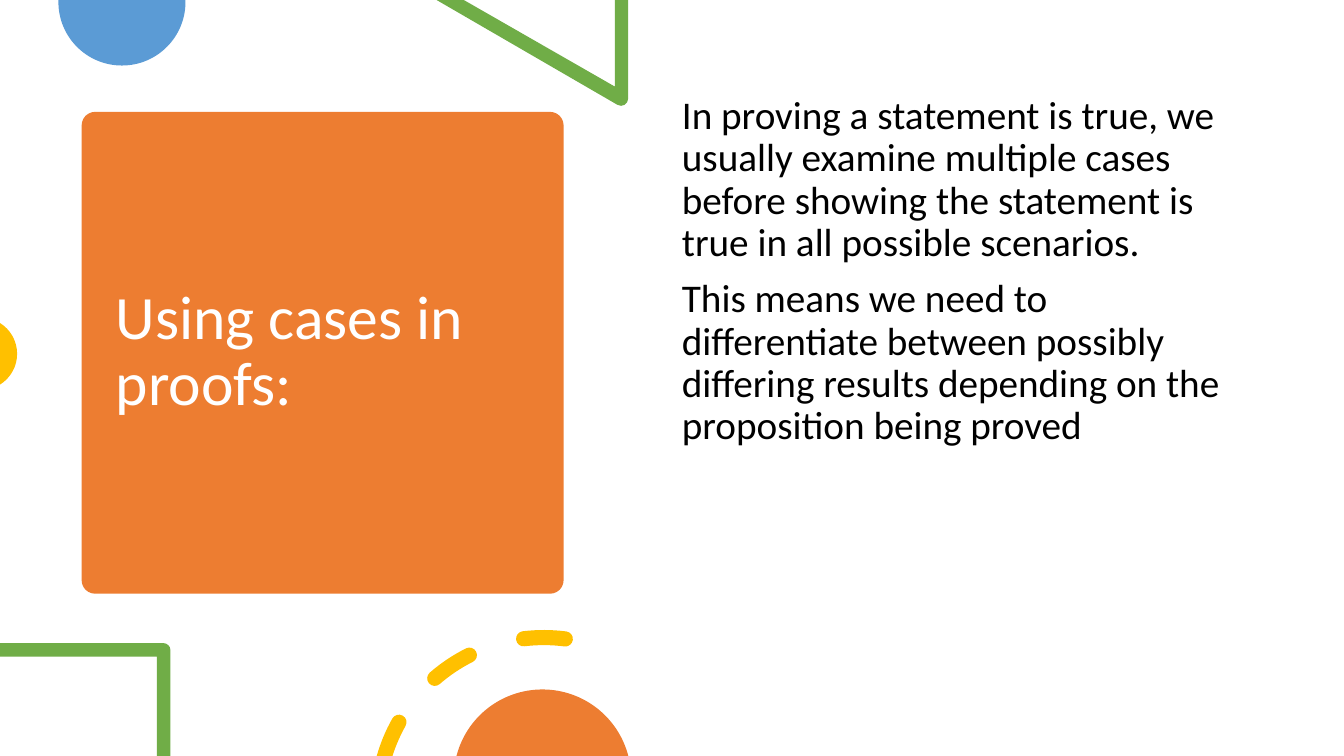
from collections import namedtuple
from dataclasses import dataclass
from itertools import islice
from math import acos, asin, cos, degrees, radians, sin, tan

from pptx import Presentation
from pptx.dml.color import RGBColor
from pptx.enum.shapes import MSO_SHAPE
from pptx.enum.text import MSO_ANCHOR
from pptx.oxml.ns import qn
from pptx.util import Inches, Pt

ROUNDED = MSO_SHAPE.ROUNDED_RECTANGLE
TOP, MIDDLE = MSO_ANCHOR.TOP, MSO_ANCHOR.MIDDLE
WIDTH, HEIGHT = 13.33, 7.5
RIGHTWARD, DOWNWARD, UPWARD = 0, 90, 270

Box = namedtuple("Box", "left top width height")


@dataclass(frozen=True)
class Theme:
    font: str = "Calibri"
    title_size: int = 44
    body_size: int = 28
    line_spacing: float = 0.9
    space_before: int = 10
    orange: str = "ED7D31"
    blue: str = "5B9BD5"
    green: str = "70AD47"
    yellow: str = "FFC000"
    white: str = "FFFFFF"
    black: str = "000000"


THEME = Theme()


# Geometry, in inches; angles run clockwise from the right.
# An outline is a list of segments: one point for a line, three for a curve.
def lines(*points):
    return [(point,) for point in points]


def polar(x, y, radius, angle):
    return x + radius * cos(radians(angle)), y + radius * sin(radians(angle))


def arc(x, y, radius, start, end, pieces=1):
    step = (end - start) / pieces
    pull = radius * 4 / 3 * tan(radians(step) / 4)
    segments = lines(polar(x, y, radius, start))
    for i in range(pieces):
        a, b = start + step * i, start + step * (i + 1)
        p, q = polar(x, y, radius, a), polar(x, y, radius, b)
        segments.append((polar(*p, pull, a + 90), polar(*q, pull, b - 90), q))
    return segments


# Shared drawing helpers
def paint(shape, color):
    shape.shadow.inherit = False
    shape.fill.solid()
    shape.fill.fore_color.rgb = RGBColor.from_string(color)
    shape.line.fill.background()


def draw_outlines(slide, outlines, color):
    builder = None
    for outline in outlines:
        start, *rest = [(Inches(x), Inches(y)) for segment in outline for x, y in segment]
        if builder is None:
            builder = slide.shapes.build_freeform(*start)
        else:
            builder.move_to(*start)
        builder.add_line_segments(rest, close=True)
    shape = builder.convert_to_shape()
    # Join each curve's three points into one Bezier segment
    steps = iter(list(shape.element.iter(qn("a:lnTo"))))
    for outline in outlines:
        for segment in outline[1:]:
            first, *others = islice(steps, len(segment))
            if others:
                first.tag = qn("a:cubicBezTo")
            for other in others:
                first.append(other[0])
                other.getparent().remove(other)
    paint(shape, color)


def add_text(slide, box, paragraphs, size, color, anchor, space_before=0):
    frame = slide.shapes.add_textbox(*map(Inches, box)).text_frame
    frame.word_wrap = True
    frame.vertical_anchor = anchor
    frame.text = "\n".join(paragraphs)
    for paragraph in frame.paragraphs:
        paragraph.line_spacing = THEME.line_spacing
        paragraph.space_before = Pt(space_before)
        font = paragraph.runs[0].font
        font.name, font.size = THEME.font, Pt(size)
        font.color.rgb = RGBColor.from_string(color)


# Content regions
def title_panel(slide, box, title):
    panel = slide.shapes.add_shape(ROUNDED, *map(Inches, box))
    panel.adjustments[0] = 0.028
    paint(panel, THEME.orange)
    inset_x, inset_y = 0.24, 0.11
    title_box = Box(box.left + inset_x, box.top + inset_y,
                    box.width - 2 * inset_x + 0.01, box.height - 2 * inset_y)
    add_text(slide, title_box, [title], THEME.title_size, THEME.white, MIDDLE)


def explanation(slide, box, paragraphs):
    add_text(slide, box, paragraphs, THEME.body_size, THEME.black, TOP,
             THEME.space_before)


# Decorations cut off by the slide's edges
def cut_disc(slide, box, facing, edge_distance, color):
    """Draw the part of a disc beyond an edge that far from its centre."""
    radius = box.width / 2
    half = degrees(acos(edge_distance / radius))
    segment = arc(box.left + radius, box.top + radius, radius,
                  facing - half, facing + half, 2)
    draw_outlines(slide, [segment], color)


def triangle_corner(slide, box, band=0.13, rounding=0.07):
    left, top, right = box.left, box.top, box.left + box.width
    bottom = top + box.height
    inner = right - band
    outline = lines((right, top), (inner, top), (inner, bottom - 0.19),
                    (left + 0.27, top), (left, top))
    outline += arc(right - rounding, bottom - rounding, rounding, 120, 0)
    draw_outlines(slide, [outline], THEME.green)


def square_corner(slide, box, band=0.135, rounding=0.07):
    left, top = box.left, box.top
    right, bottom = left + box.width, top + box.height
    outline = lines((left, top), (left, top + band), (right - band, top + band),
                    (right - band, bottom), (right, bottom))
    outline += arc(right - rounding, top + rounding, rounding, 0, -90)
    draw_outlines(slide, [outline], THEME.green)


def dashed_ring(slide, box, band=0.15, first=195, step=34, sweep=14.4):
    cap = band / 2
    outer = box.width / 2
    inner, middle = outer - band, outer - cap
    x, y = box.left + outer, box.top + outer
    dashes = []
    for start in (first + step * i for i in range(3)):
        end = start + sweep
        tail, tip = polar(x, y, middle, start), polar(x, y, middle, end)
        cut = tail[1] > HEIGHT
        outer_start, inner_start = (
            180 + degrees(asin((HEIGHT - y) / -r)) if cut else start
            for r in (outer, inner))
        dash = (arc(x, y, outer, outer_start, end)
                + arc(*tip, cap, end, end + 180, 2)[1:]
                + arc(x, y, inner, end, inner_start)[1:])
        if not cut:
            dash += arc(*tail, cap, start + 180, start + 360, 2)[1:]
        dashes.append(dash)
    draw_outlines(slide, dashes, THEME.yellow)


def cases_slide(slide, box):
    title_panel(slide, Box(box.left + 0.81, box.top + 1.11, 4.78, 4.78),
                "Using cases in proofs:")
    explanation(slide, Box(box.left + box.width / 2, box.top + 0.9, 5.75, 5.35), [
        "In proving a statement is true, we usually examine multiple cases "
        "before showing the statement is true in all possible scenarios.",
        "This means we need to differentiate between possibly differing "
        "results depending on the proposition being proved",
    ])
    cut_disc(slide, Box(0.58, -0.61, 1.26, 1.26), DOWNWARD, -0.02, THEME.blue)
    triangle_corner(slide, Box(4.33, 0, 1.9, 1.05))
    cut_disc(slide, Box(-0.55, 3.15, 0.72, 0.72), RIGHTWARD, 0.19, THEME.yellow)
    square_corner(slide, Box(0, 6.38, 1.69, 1.12))
    dashed_ring(slide, Box(3.67, 6.25, 3.45, 3.45))
    cut_disc(slide, Box(4.5, 6.84, 1.76, 1.76), UPWARD, 0.22, THEME.orange)


def main():
    deck = Presentation()
    deck.slide_width, deck.slide_height = Inches(WIDTH), Inches(HEIGHT)
    slide = deck.slides.add_slide(deck.slide_layouts[6])
    cases_slide(slide, Box(0, 0, WIDTH, HEIGHT))
    deck.save("out.pptx")


if __name__ == "__main__":
    main()
